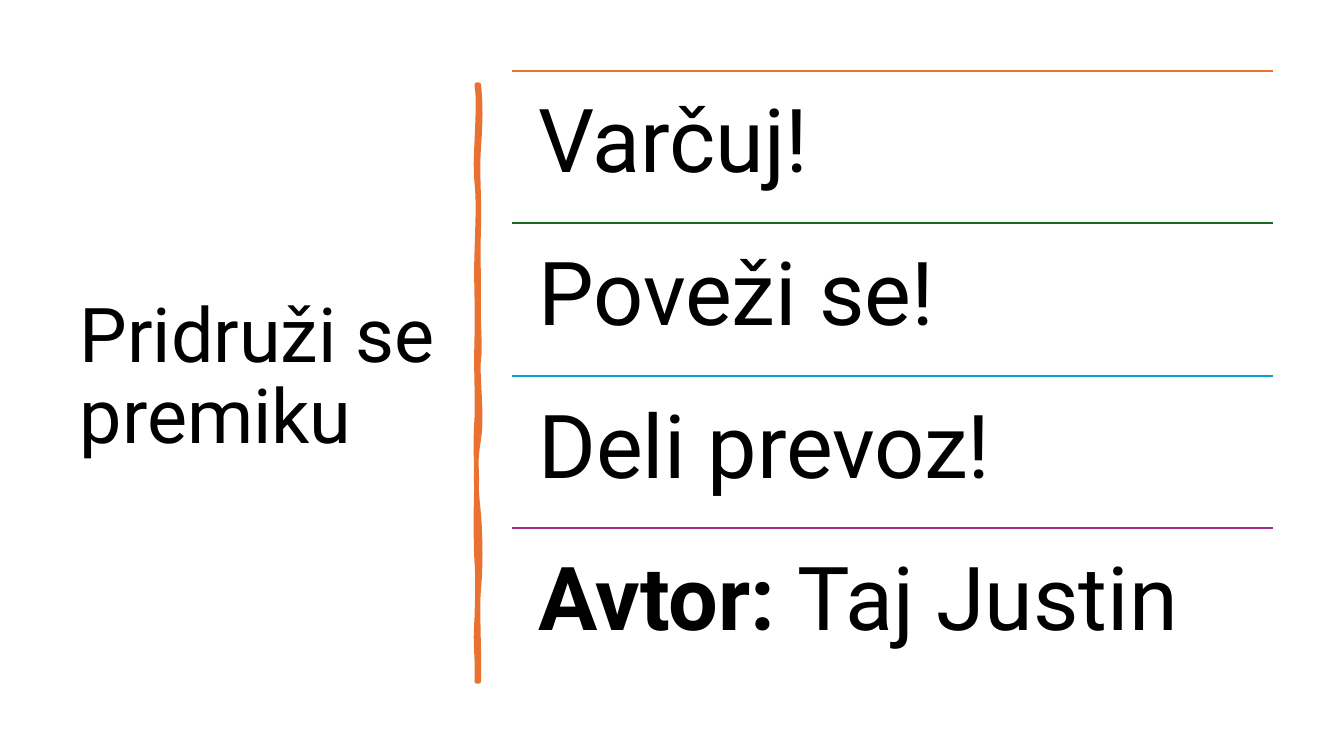
"""Build the closing slide: a title, a hand-drawn divider and four ruled calls to action."""
from dataclasses import dataclass

from pptx import Presentation
from pptx.dml.color import RGBColor
from pptx.enum.shapes import MSO_CONNECTOR as Connector
from pptx.enum.text import MSO_ANCHOR as Anchor, MSO_AUTO_SIZE as AutoSize, PP_ALIGN as Align
from pptx.oxml.ns import qn
from pptx.slide import Slide
from pptx.text.text import TextFrame
from pptx.util import Pt
from lxml.etree import SubElement

FONT = "Roboto"
BLACK = "000000"
ORANGE = "E97132"
ROW_LEFT, ROW_TOP, ROW_WIDTH, ROW_HEIGHT = 365.8, 50.4, 543.6, 109
ROW_INSET = 18.7
CURVE_STEPS = 8

Point = tuple[float, float]
Curve = tuple[float, float, float, float, float, float]


@dataclass(frozen=True)
class Phrase:
    text: str
    bold: bool = False


@dataclass(frozen=True)
class Row:
    rule_color: str
    phrases: tuple[Phrase, ...]


ROWS = (
    Row(ORANGE, (Phrase("Varčuj!"),)),
    Row("196B24", (Phrase("Poveži se!"),)),
    Row("0F9ED5", (Phrase("Deli prevoz!"),)),
    Row("A02B93", (Phrase("Avtor: ", bold=True), Phrase("Taj Justin"))),
)

DIVIDER_TOP: Point = (342, 60.5)
DIVIDER_FOOT: Point = (340.6, 486.7)
RIGHT_EDGE: tuple[Curve, ...] = (
    (343.4, 73.4, 343.4, 85.7, 342, 105.1),
    (340.6, 124.6, 342.7, 140.4, 342, 162.7),
    (341.3, 185, 342, 188.6, 342, 211.7),
    (341.3, 234, 343.4, 246.2, 342, 256.3),
    (340.6, 266.4, 344.9, 298.1, 342, 313.9),
    (339.1, 328.9, 339.8, 348.5, 342, 367.2),
    (343.4, 385.9, 343.4, 406.1, 342, 420.5),
    (340.6, 434.2, 342.7, 468, 342, 486.7),
)
LEFT_EDGE: tuple[Curve, ...] = (
    (341.3, 465.1, 339.1, 463.7, 340.6, 441.4),
    (341.3, 419.8, 341.3, 410.4, 340.6, 401),
    (339.8, 391.7, 339.8, 356.4, 340.6, 343.4),
    (340.6, 330.5, 339.1, 320.4, 340.6, 298.8),
    (341.3, 277.9, 339.8, 268.6, 340.6, 241.2),
    (341.3, 214.6, 339.8, 202.3, 340.6, 180),
    (341.3, 157, 342, 144, 340.6, 130.3),
    (338.4, 117.4, 343.4, 74.9, 340.6, 60.5),
)


def color(hex_code: str) -> RGBColor:
    return RGBColor.from_string(hex_code)


def trace(start: Point, curves: tuple[Curve, ...]) -> list[Point]:
    points = [start]
    for x1, y1, x2, y2, x3, y3 in curves:
        x0, y0 = points[-1]
        for step in range(1, CURVE_STEPS + 1):
            t = step / CURVE_STEPS
            u = 1 - t
            weights = (u**3, 3 * u * u * t, 3 * u * t * t, t**3)
            points.append((
                sum(w * x for w, x in zip(weights, (x0, x1, x2, x3))),
                sum(w * y for w, y in zip(weights, (y0, y1, y2, y3))),
            ))
    return points


def write(frame: TextFrame, phrases: tuple[Phrase, ...], size: float) -> None:
    frame.word_wrap = True
    frame.auto_size = AutoSize.NONE
    paragraph = frame.paragraphs[0]
    paragraph.alignment = Align.LEFT
    paragraph.line_spacing = 0.9
    paragraph.space_before = Pt(0)
    for phrase in phrases:
        run = paragraph.add_run()
        run.text = phrase.text
        run.font.name = FONT
        run.font.size = Pt(size)
        run.font.bold = phrase.bold
        run.font.color.rgb = color(BLACK)


def add_title(slide: Slide) -> None:
    title = slide.shapes.title
    title.left, title.top, title.width, title.height = Pt(49.7), Pt(50.4), Pt(269.3), Pt(439.9)
    title.text_frame.vertical_anchor = Anchor.MIDDLE
    write(title.text_frame, (Phrase("Pridruži se premiku"),), 54)


def add_divider(slide: Slide) -> None:
    outline = trace(DIVIDER_TOP, RIGHT_EDGE) + trace(DIVIDER_FOOT, LEFT_EDGE)
    first, *others = [(Pt(x), Pt(y)) for x, y in outline]
    builder = slide.shapes.build_freeform(*first)
    builder.add_line_segments(others, close=True)
    divider = builder.convert_to_shape()
    divider.shadow.inherit = False
    divider.fill.solid()
    divider.fill.fore_color.rgb = color(ORANGE)
    divider.line.color.rgb = color(ORANGE)
    divider.line.width = Pt(3.25)


def add_row(slide: Slide, row: Row, top: float) -> None:
    rule = slide.shapes.add_connector(
        Connector.STRAIGHT, Pt(ROW_LEFT), Pt(top), Pt(ROW_LEFT + ROW_WIDTH), Pt(top)
    )
    rule.line.color.rgb = color(row.rule_color)
    rule.line.width = Pt(1.5)
    SubElement(rule._element.spPr, qn("a:effectLst"))

    call = slide.shapes.add_textbox(Pt(ROW_LEFT), Pt(top), Pt(ROW_WIDTH), Pt(ROW_HEIGHT))
    frame = call.text_frame
    frame.margin_left = frame.margin_right = Pt(ROW_INSET)
    frame.margin_top = frame.margin_bottom = Pt(ROW_INSET)
    frame.vertical_anchor = Anchor.TOP
    write(frame, row.phrases, 63)


def main() -> None:
    deck = Presentation()
    deck.slide_width, deck.slide_height = Pt(960), Pt(540)
    slide = deck.slides.add_slide(deck.slide_layouts.get_by_name("Title Only"))
    slide.background.fill.solid()
    slide.background.fill.fore_color.rgb = color("FFFFFF")
    add_title(slide)
    add_divider(slide)
    for index, row in enumerate(ROWS):
        add_row(slide, row, ROW_TOP + index * ROW_HEIGHT)
    deck.save("out.pptx")


if __name__ == "__main__":
    main()
